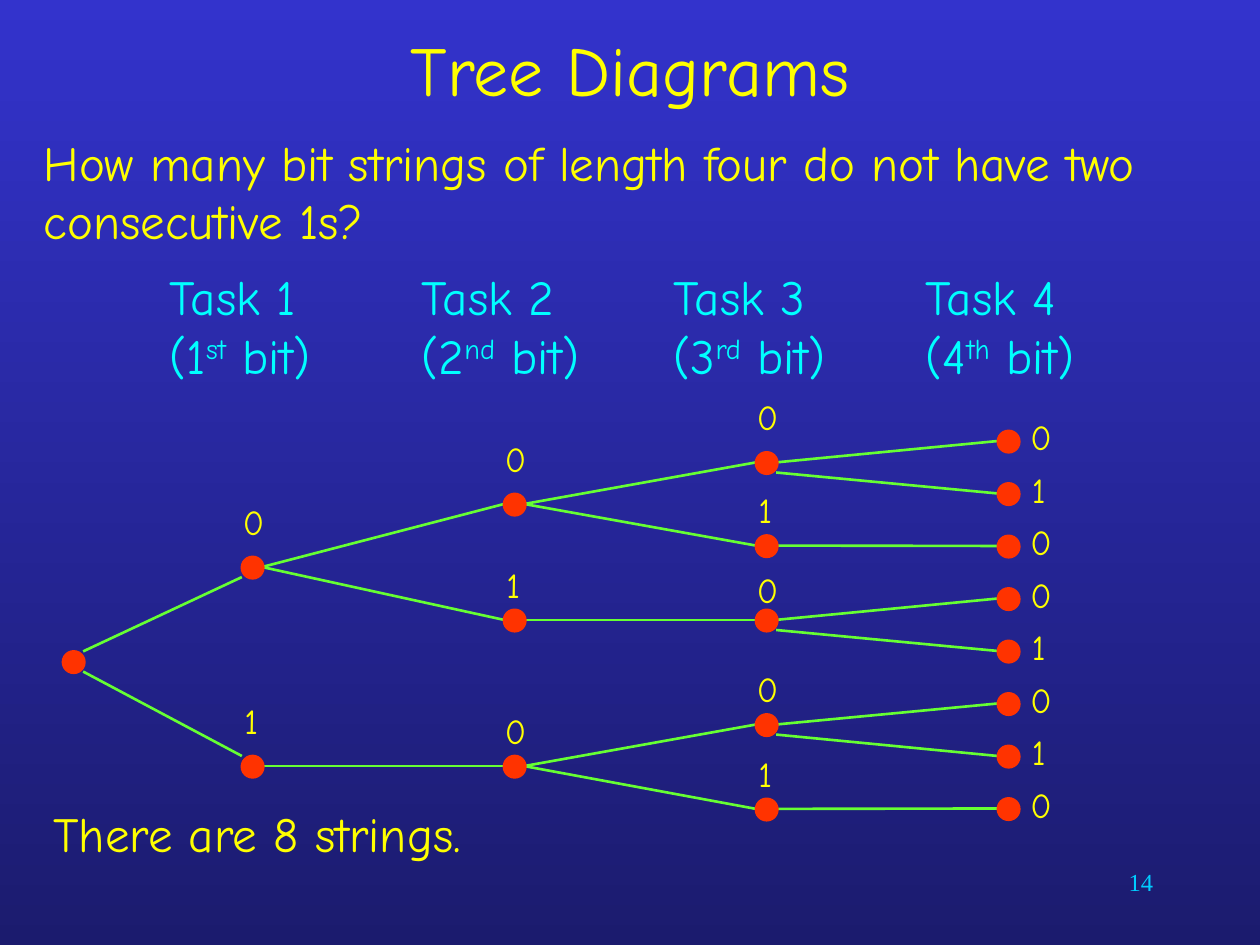
from lxml.etree import SubElement
from pptx import Presentation
from pptx.dml.color import RGBColor
from pptx.enum.shapes import MSO_CONNECTOR, MSO_SHAPE
from pptx.enum.text import MSO_ANCHOR, PP_ALIGN
from pptx.oxml.ns import qn
from pptx.util import Inches, Pt

HUES = {"top": "3333CC", "base": "1B1B6E", "text": "FFFF00", "task": "00FFFF",
        "dot": "FF3300", "line": "66FF33", "page": "00CCFF"}
COLOR = {name: RGBColor.from_string(hue) for name, hue in HUES.items()}
FONT = "Comic Neue"


def style(para, size, hue, font=FONT):
    for run in para.runs:
        run.font.name = font
        run.font.size = Pt(size)
        run.font.color.rgb = COLOR[hue]


def add_text(shapes, box, text, size, hue="text", align=PP_ALIGN.CENTER, font=FONT):
    frame = shapes.add_textbox(*map(Inches, box)).text_frame
    frame.word_wrap = True
    frame.text = text
    frame.paragraphs[0].alignment = align
    style(frame.paragraphs[0], size, hue, font)
    return frame


deck = Presentation()
deck.slide_width, deck.slide_height = Inches(10), Inches(7.5)
slide = deck.slides.add_slide(deck.slide_layouts[6])

# Background, top to bottom
fill = slide.background.fill
fill.gradient()
fill.gradient_angle = 270
for stop, hue, place in zip(fill.gradient_stops, ("top", "base"), (0, 1)):
    stop.color.rgb = COLOR[hue]
    stop.position = place

# Title and question
title = add_text(slide.shapes, (0.75, 0.17, 8.5, 0.75), "Tree Diagrams", 40)
title.vertical_anchor = MSO_ANCHOR.MIDDLE
body = add_text(slide.shapes, (0.25, 1, 9.58, 2.5),
                "How many bit strings of length four do not have two consecutive 1s?",
                28, align=PP_ALIGN.LEFT)

# Task headings on tab stops
heads = body.add_paragraph()
heads.space_before = Pt(9.5)
heads.text = "".join(f"\tTask {n}" for n in range(1, 5)) + "\v"
for n, end in enumerate(("st", "nd", "rd", "th"), 1):
    for part in (f"\t({n}", end, " bit)"):
        run = heads.add_run()
        run.text = part
        if part == end:
            run.font._element.set("baseline", "30000")
style(heads, 28, "task")
tabs = SubElement(heads._p.get_or_add_pPr(), qn("a:tabLst"))
for pos in (1, 3, 5, 7):
    SubElement(tabs, qn("a:tab"), pos=str(Inches(pos)), algn="l")

# Tree nodes: bits so far -> centre height, and label rise above it
cols = (0.58, 2, 4.08, 6.08, 8)
rows = {"": 5.25, "0": 4.5, "1": 6.08, "00": 4, "01": 4.92, "10": 6.08,
        "000": 3.67, "001": 4.33, "010": 4.92, "100": 5.75, "101": 6.42}
rise = {"0": 0.58, "1": 0.58, "00": 0.58, "000": 0.58, "010": 0.46}
leaves = ("0000", "0001", "0010", "0100", "0101", "1000", "1001", "1010")
for n, bits in enumerate(leaves):
    rows[bits] = 3.5 + n * 5 / 12
rad = 0.08

# Branches from each node to its parent
for bits, y in rows.items():
    if not bits:
        continue
    col = len(bits)
    start = rows[bits[:-1]]
    if col == 1:
        shift = rad if bits == "1" else -rad
        start, y = start + shift, y - shift
    elif col == 4 and bits[-1] == "1":
        start += rad
    ends = (cols[col - 1] + rad, start, cols[col] - rad, y)
    line = slide.shapes.add_connector(MSO_CONNECTOR.STRAIGHT, *map(Inches, ends))
    line.line.color.rgb = COLOR["line"]
    line.line.width = Pt(1.5)
    SubElement(line._element.spPr, qn("a:effectLst"))

# Dots, each grouped with its bit
for bits, y in rows.items():
    x = cols[len(bits)]
    shapes = slide.shapes.add_group_shape().shapes if bits else slide.shapes
    box = (x - rad, y - rad, 0.17, 0.17)
    dot = shapes.add_shape(MSO_SHAPE.OVAL, *map(Inches, box))
    dot.shadow.inherit = False
    dot.fill.solid()
    dot.fill.fore_color.rgb = dot.line.color.rgb = COLOR["dot"]
    dot.line.width = Pt(1.5)
    if bits:
        left, top = x - 0.17, y - rise.get(bits, 0.5)
        if len(bits) == 4:
            left, top = x + rad, y - 0.25
        add_text(shapes, (left, top, 0.33, 0.44), bits[-1], 20)

# Answer and page number
add_text(slide.shapes, (0, 6.33, 4.08, 0.57), "There are 8 strings.", 28)
add_text(slide.shapes, (7.17, 6.83, 2.08, 0.5), "14", 14, "page",
         PP_ALIGN.RIGHT, "Times New Roman")

deck.save("out.pptx")
